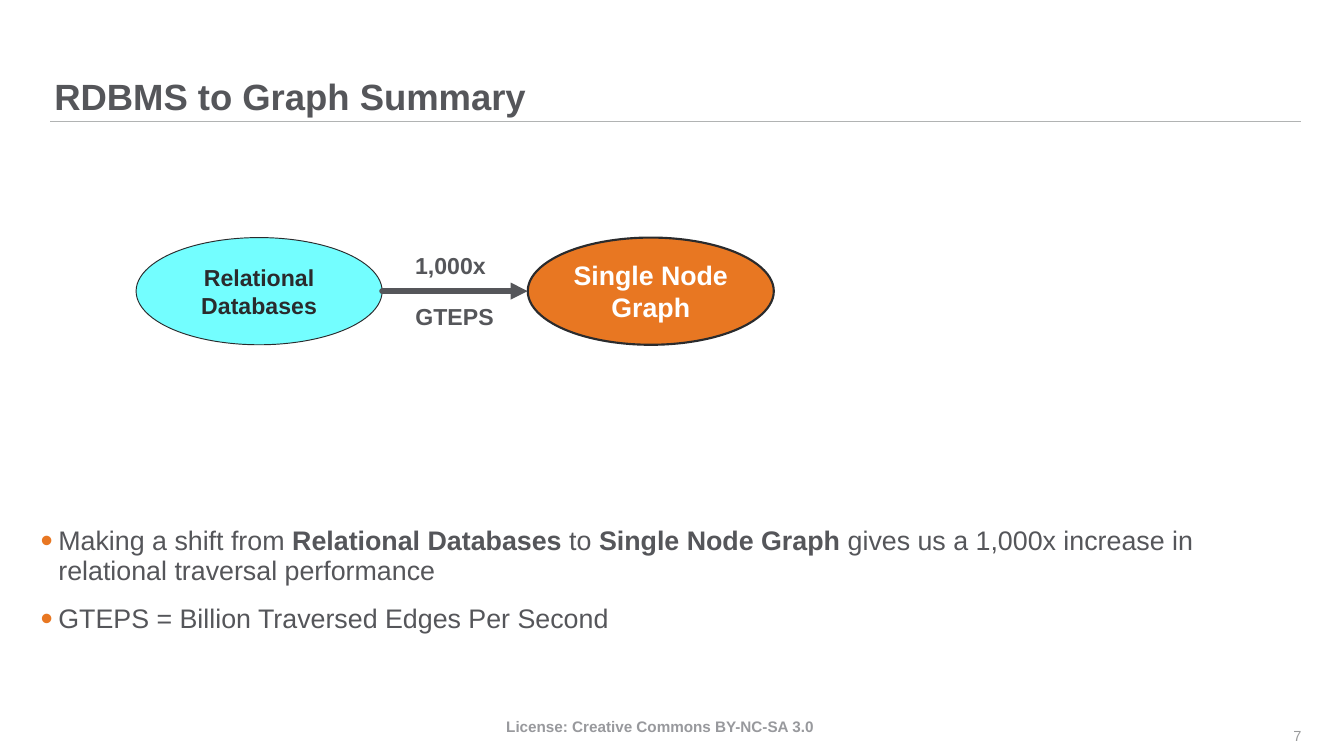
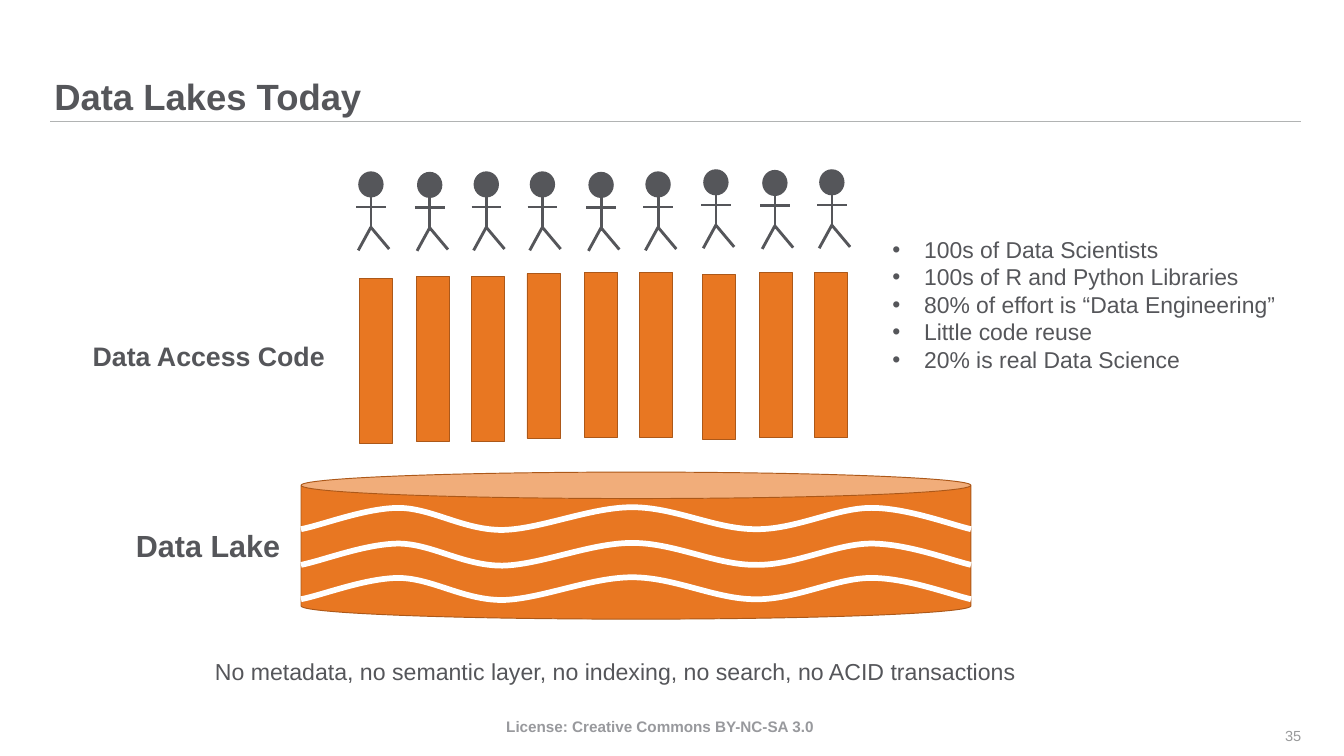
from lxml import etree
from pptx import Presentation
from pptx.dml.color import RGBColor
from pptx.enum.shapes import MSO_CONNECTOR, MSO_SHAPE
from pptx.enum.text import MSO_ANCHOR, MSO_AUTO_SIZE, PP_ALIGN
from pptx.oxml.ns import qn
from pptx.util import Pt

FONT = "Arial"
GREY, DARK, WHITE = "55565A", "2A2B2D", "FFFFFF"
ORANGE, BROWN, CYAN = "E87722", "AC5819", "73FEFF"
RULE_GREY, LICENSE_GREY, NUMBER_GREY = "B1B3B3", "98999D", "999A9B"

FIGURES = [(375.4, 179.5), (437, 180), (496.3, 179.5), (555.1, 179.5), (616.6, 180),
           (676.3, 179.5), (736.9, 177.3), (798.7, 178), (858.4, 177.3)]
CODE_BARS = [(376.6, 291.6), (436.3, 289.4), (493.9, 289.4), (552.2, 286.6), (612.7, 285.1),
             (670.3, 285.1), (735.8, 287.3), (795.6, 285.8), (853.9, 285.8)]
LIMBS = [(13.4, 27.4, 13.4, 61.9), (-2.2, 37.4, 28.8, 37.4),
         (0, 82.8, 13.4, 58.3), (32.4, 81.4, 13, 58.3)]
LAKE_LEFT, LAKE_WIDTH = 315.4, 702
WAVE_TOPS = [531.4, 568.8, 604.8]
# Bezier knots and handles of one wave, relative to its left top corner
WAVE = [(0, 23), (22.3, 18.7), (67.7, 0.7), (103, 0.7), (138.2, 1.4), (169.9, 23.8),
        (211, 23.8), (251.3, 23), (303.1, 0), (347, 0), (391.7, 0), (434.2, 23),
        (475.9, 23), (517.7, 23.8), (560.2, 0.7), (597.6, 0.7), (635, 0.7),
        (680.4, 18), (LAKE_WIDTH, 23)]


def color(hex_string):
    return RGBColor.from_string(hex_string)


def set_line(shape, line_color, width):
    shape.line.color.rgb = color(line_color)
    shape.line.width = Pt(width)


def add_bullet(paragraph, indent, bullet_color=None, percent=100):
    properties = paragraph._p.get_or_add_pPr()
    properties.set("marL", str(Pt(indent)))
    properties.set("indent", str(-Pt(indent)))
    if bullet_color:
        holder = etree.SubElement(properties, qn("a:buClr"))
        etree.SubElement(holder, qn("a:srgbClr"), val=bullet_color)
    etree.SubElement(properties, qn("a:buSzPct"), val=str(percent * 1000))
    etree.SubElement(properties, qn("a:buFont"), typeface=FONT)
    etree.SubElement(properties, qn("a:buChar"), char="•")


def write(frame, paragraphs, size, text_color=GREY, bold=False, align=PP_ALIGN.LEFT):
    """Fill a frame; each paragraph is a string or a list of (text, bold) runs."""
    for index, content in enumerate(paragraphs):
        paragraph = frame.add_paragraph() if index else frame.paragraphs[0]
        paragraph.alignment = align
        runs = [(content, bold)] if isinstance(content, str) else content
        for text, run_bold in runs:
            run = paragraph.add_run()
            run.text = text
            font = run.font
            font.name, font.size, font.bold = FONT, Pt(size), run_bold
            font.color.rgb = color(text_color)


def clear_margins(frame):
    frame.margin_left = frame.margin_right = frame.margin_top = frame.margin_bottom = 0


def add_text(slide, box, paragraphs, size, wrap=True, **style):
    shape = slide.shapes.add_textbox(*map(Pt, box))
    frame = shape.text_frame
    frame.word_wrap = wrap
    frame.auto_size = MSO_AUTO_SIZE.SHAPE_TO_FIT_TEXT
    write(frame, paragraphs, size, **style)
    return shape


def add_shape(parent, kind, box, fill, line_color=None, width=1):
    shape = parent.shapes.add_shape(kind, *map(Pt, box))
    shape.shadow.inherit = False
    shape.fill.solid()
    shape.fill.fore_color.rgb = color(fill)
    if line_color:
        set_line(shape, line_color, width)
    else:
        shape.line.fill.background()
    return shape


def add_line(slide, ends, line_color, width, arrow=False):
    line = slide.shapes.add_connector(MSO_CONNECTOR.STRAIGHT, *map(Pt, ends))
    set_line(line, line_color, width)
    if arrow:
        outline = line.line._get_or_add_ln()
        outline.set("cap", "rnd")
        etree.SubElement(outline, qn("a:tailEnd"), type="triangle")
    etree.SubElement(line._element.spPr, qn("a:effectLst"))
    return line


def fill_placeholder(placeholder, box, paragraphs, size, anchor, **style):
    placeholder.left, placeholder.top, placeholder.width, placeholder.height = map(Pt, box)
    frame = placeholder.text_frame
    frame.auto_size = MSO_AUTO_SIZE.NONE
    frame.word_wrap = True
    frame.vertical_anchor = anchor
    clear_margins(frame)
    write(frame, paragraphs, size, **style)
    return frame


def add_master_parts(presentation, slide):
    """Draw the title rule and the license, and move them to the slide master."""
    rule = add_line(slide, (52.6, 127.4, 1363.7, 127.4), RULE_GREY, 1)
    license_box = add_text(slide, (414, 748.1, 555.1, 26.6),
                           ["License: Creative Commons BY-NC-SA 3.0"], 16,
                           text_color=LICENSE_GREY, bold=True, align=PP_ALIGN.CENTER)
    for shape in (rule, license_box):
        presentation.slide_master.shapes._spTree.append(shape._element)


def add_base_slide(presentation, layout_index, title, number):
    """Add a slide with its title and slide number."""
    slide = presentation.slides.add_slide(presentation.slide_layouts[layout_index])
    frame = fill_placeholder(slide.shapes.title, (56.9, 0, 1306.8, 123.8), [title], 38.2,
                             MSO_ANCHOR.BOTTOM, bold=True)
    frame.paragraphs[0].line_spacing = 0.9
    frame = add_text(slide, (1301, 749, 62.7, 42.5), [number], 15.3,
                     text_color=NUMBER_GREY, align=PP_ALIGN.RIGHT).text_frame
    frame.auto_size = MSO_AUTO_SIZE.NONE
    frame.vertical_anchor = MSO_ANCHOR.MIDDLE
    clear_margins(frame)
    return slide


def add_node(slide, left, lines, fill, width, size, text_color, wrap=True):
    node = add_shape(slide, MSO_SHAPE.OVAL, (left, 248.9, 257.8, 112.3), fill, DARK, width)
    node.text_frame.word_wrap = wrap
    node.text_frame.vertical_anchor = MSO_ANCHOR.MIDDLE
    write(node.text_frame, lines, size, text_color, bold=True, align=PP_ALIGN.CENTER)


def add_figure(slide, left, top):
    add_shape(slide, MSO_SHAPE.OVAL, (left, top, 26.6, 27.4), GREY)
    for x1, y1, x2, y2 in LIMBS:
        add_line(slide, (left + x1, top + y1, left + x2, top + y2), GREY, 3)


def add_wave(parent, top):
    points = [(Pt(LAKE_LEFT + x), Pt(top + y)) for x, y in WAVE]
    builder = parent.shapes.build_freeform(*points[0])
    builder.add_line_segments(points[1:], close=False)
    wave = builder.convert_to_shape()
    segments = list(wave._element.iter(qn("a:lnTo")))
    for start in range(0, len(segments), 3):
        first, *others = segments[start:start + 3]
        first.tag = qn("a:cubicBezTo")
        for segment in others:
            first.append(segment[0])
            segment.getparent().remove(segment)
    wave.shadow.inherit = False
    wave.fill.background()
    set_line(wave, WHITE, 6)


def add_lake(slide):
    group = slide.shapes.add_group_shape()
    lake = add_shape(group, MSO_SHAPE.CAN, (LAKE_LEFT, 494.6, LAKE_WIDTH, 154.1),
                     ORANGE, BROWN)
    lake.adjustments[0] = 0.18
    for top in WAVE_TOPS:
        add_wave(group, top)


def build_graph_summary(presentation):
    slide = add_base_slide(presentation, 1, "RDBMS to Graph Summary", "7")
    add_master_parts(presentation, slide)
    findings = [
        [("Making a shift from ", False), ("Relational Databases ", True), ("to ", False),
         ("Single Node Graph ", True),
         ("gives us a 1,000x increase in relational traversal performance", False)],
        "GTEPS = Billion Traversed Edges Per Second",
    ]
    frame = fill_placeholder(slide.placeholders[1], (42.5, 550.8, 1306.8, 123.8), findings,
                             28.1, MSO_ANCHOR.TOP)
    for index, paragraph in enumerate(frame.paragraphs):
        add_bullet(paragraph, 18.7, ORANGE, 130)
        paragraph.line_spacing = 0.95
        paragraph.space_before = Pt(10.2 if index else 0)
        paragraph.space_after = Pt(7.7)

    add_node(slide, 142.6, ["Relational", "Databases"], CYAN, 1, 24.2, DARK)
    add_node(slide, 553, ["Single Node", "Graph"], ORANGE, 2.25, 28, WHITE, wrap=False)
    add_line(slide, (400.4, 305, 553, 305), GREY, 6, arrow=True)
    for label, left, top in (("1,000x", 414, 260), ("GTEPS", 418.4, 313.6)):
        add_text(slide, (left, top, 116, 36.7), [label], 24.2, bold=True,
                 align=PP_ALIGN.CENTER)


def build_data_lakes(presentation):
    slide = add_base_slide(presentation, 5, "Data Lakes Today", "35")
    add_lake(slide)
    for left, top in FIGURES:
        add_figure(slide, left, top)
    for left, top in CODE_BARS:
        add_shape(slide, MSO_SHAPE.RECTANGLE, (left, top, 34.6, 172.8), ORANGE, BROWN)

    add_text(slide, (133.9, 548.6, 167, 46.1), ["Data Lake"], 32, wrap=False,
             bold=True, align=PP_ALIGN.RIGHT)
    add_text(slide, (86.6, 352.8, 260.6, 41), ["Data Access Code"], 28, wrap=False,
             bold=True, align=PP_ALIGN.RIGHT)
    practice = add_text(slide, (928.1, 243.2, 419, 152.6), [
        "100s of Data Scientists",
        "100s of R and Python Libraries",
        "80% of effort is “Data Engineering”",
        "Little code reuse",
        "20% is real Data Science",
    ], 24, wrap=False)
    for paragraph in practice.text_frame.paragraphs:
        add_bullet(paragraph, 33.1)
    add_text(slide, (218, 685.4, 862.6, 36.7),
             ["No metadata, no semantic layer, no indexing, no search, no ACID transactions"],
             24.2, wrap=False)


def main():
    presentation = Presentation()
    presentation.slide_width, presentation.slide_height = Pt(1408.3), Pt(792)
    build_graph_summary(presentation)
    build_data_lakes(presentation)
    presentation.save("out.pptx")


if __name__ == "__main__":
    main()
